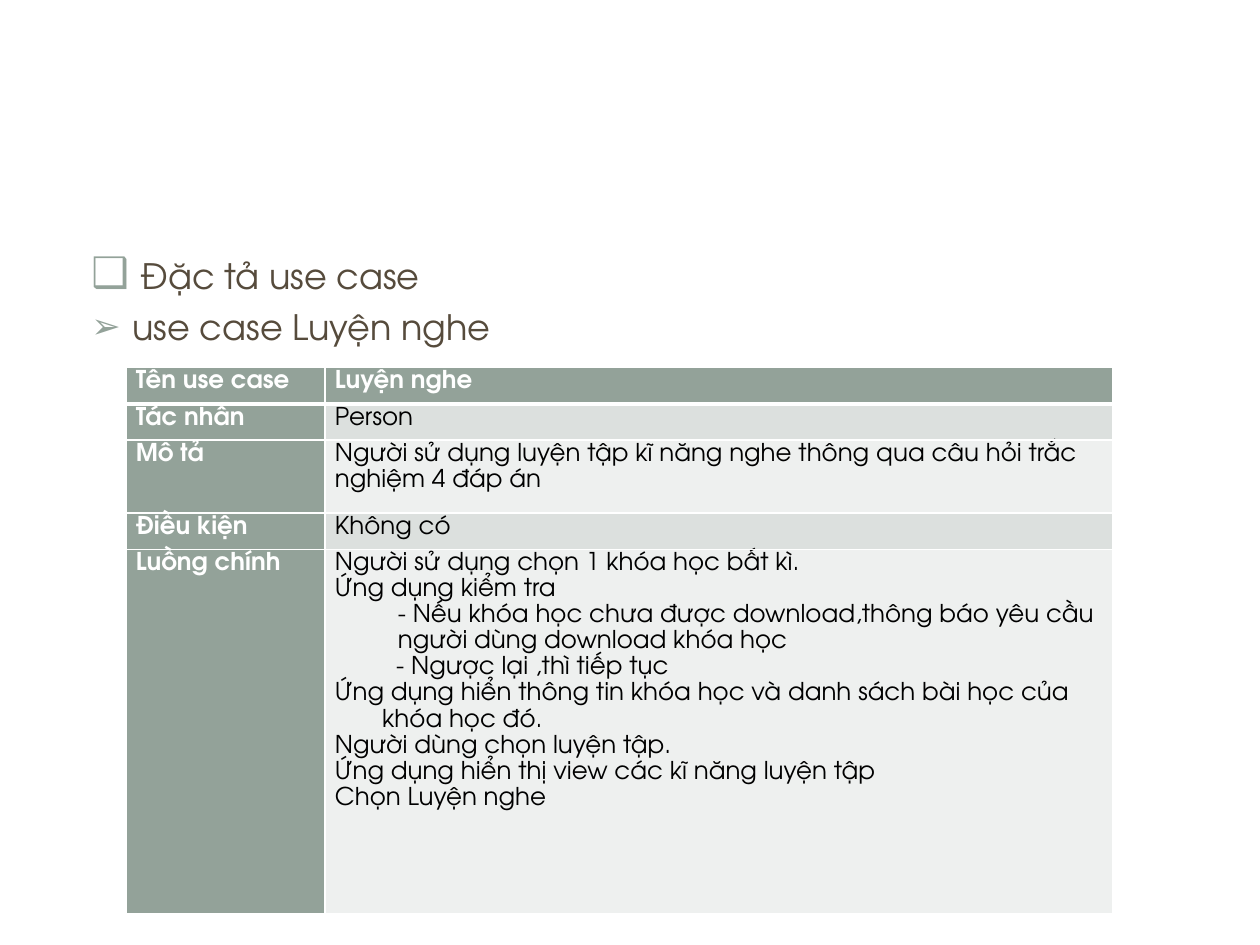
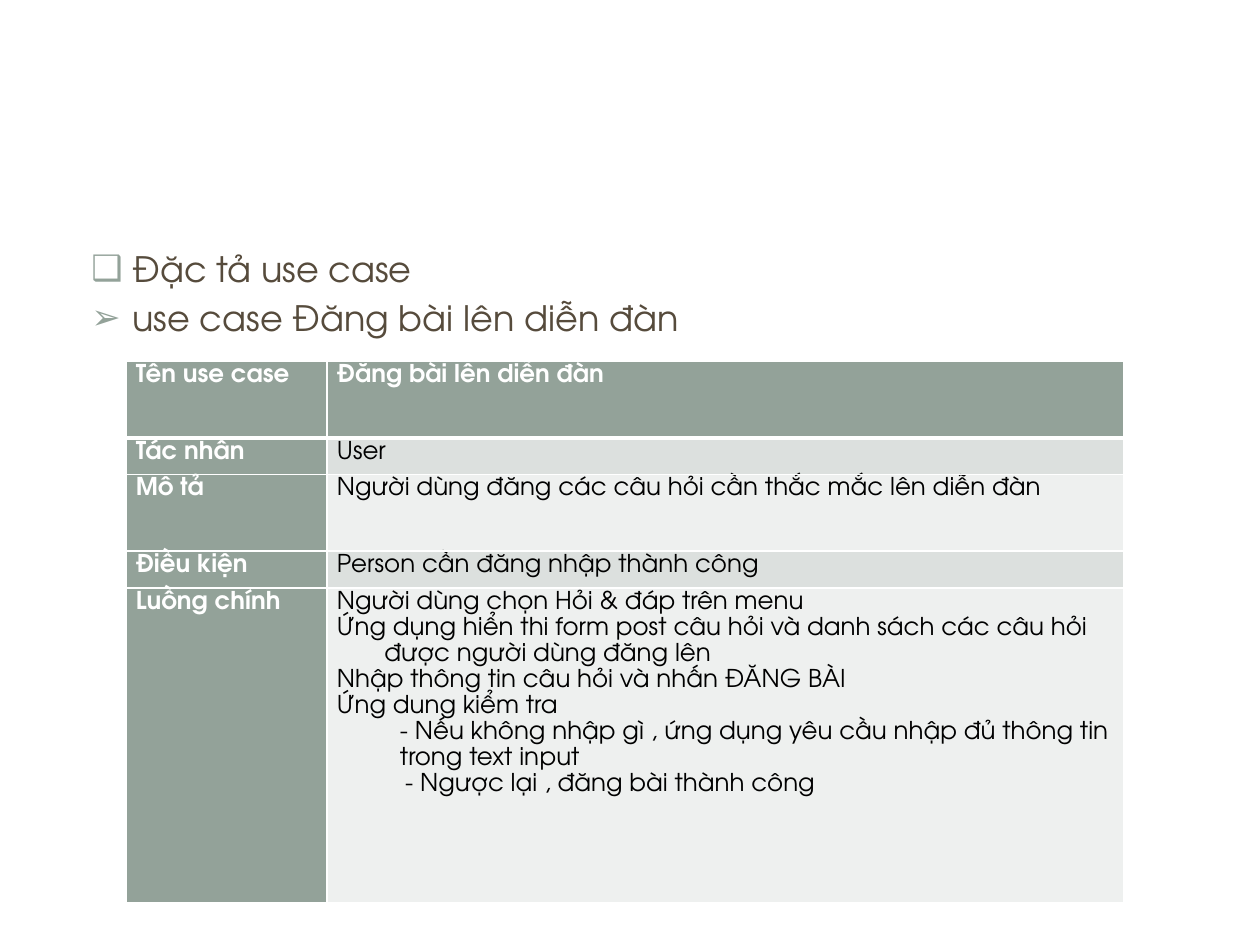
import pptx
import pptx.dml.color
import pptx.enum.shapes
import pptx.enum.text
import pptx.oxml
import pptx.oxml.ns
import pptx.util

Pt = pptx.util.Pt
SHAPE = pptx.enum.shapes.MSO_SHAPE
FONT = "TeX Gyre Adventor"
COLORS = {
    "heading": "564B3C",
    "accent": "93A299",
    "band_dark": "DCE0DE",
    "band_light": "EEF0EF",
    "white": "FFFFFF",
    "black": "000000",
}
BULLETS = ("❑", "➢")
LABELS = ("Tên use case", "Tác nhân", "Mô tả", "Điều kiện", "Luồng chính")
# Preset, box and opacity in percent of each panel behind the content
PANELS = [
    (SHAPE.ROUNDED_RECTANGLE, (7.2, 7.7, 705.6, 525), 100),
    (SHAPE.RECTANGLE, (21.6, 21.6, 676.8, 104.4), 83),
    (SHAPE.RECTANGLE, (29.4, 29.4, 660.4, 87.8), 100),
]

USE_CASES = [
    {
        "heading": "use case Luyện nghe",
        "lead_size": 24,
        "body_box": (36, 138, 648, 402),
        "table_origin": (72, 210),
        "columns": (113.8, 450.2),
        "rows": (20.8, 20.8, 41.6, 20.8, 208),
        "otherwise_indent": 35,
        "values": [
            ["Luyện nghe"],
            ["Person"],
            ["Người sử dụng luyện tập kĩ năng nghe thông qua câu hỏi trắc nghiệm 4 đáp án"],
            ["Không có"],
            [
                "Người sử dụng chọn 1 khóa học bất kì.",
                "Ứng dụng kiểm tra",
                "- Nếu khóa học chưa được download,thông báo yêu cầu người dùng download khóa học",
                "- Ngược lại ,thì tiếp tục",
                "Ứng dụng hiển thông tin khóa học và danh sách bài học của khóa học đó.",
                "Người dùng chọn luyện tập.",
                "Ứng dụng hiển thị view các kĩ năng luyện tập",
                "Chọn Luyện nghe",
            ],
        ],
    },
    {
        "heading": "use case Đăng bài lên diễn đàn",
        "lead_size": 20,
        "body_box": (36, 138, 648, 378),
        "table_origin": (72, 206.4),
        "columns": (115, 455),
        "rows": (43.8, 21, 43.8, 21, 180),
        "otherwise_indent": 39,
        "values": [
            ["Đăng bài lên diễn đàn"],
            ["User"],
            ["Người dùng đăng các câu hỏi cần thắc mắc lên diễn đàn"],
            ["Person cần đăng nhập thành công"],
            [
                "Người dùng chọn Hỏi & đáp trên menu",
                "Ứng dụng hiển thi form post câu hỏi và danh sách các câu hỏi được người dùng đăng lên",
                "Nhập thông tin câu hỏi và nhấn ĐĂNG BÀI",
                "Ứng dung kiểm tra",
                "- Nếu không nhập gì , ứng dụng yêu cầu nhập đủ thông tin trong text input",
                "- Ngược lại , đăng bài thành công",
            ],
        ],
    },
]


def rgb(name):
    return pptx.dml.color.RGBColor.from_string(COLORS[name])


def format_span(span, size, color, bold=False):
    span.font.name = FONT
    span.font.size = Pt(size)
    span.font.bold = bold
    span.font.color.rgb = rgb(color)


def set_indent(para, left, first_line):
    properties = para._p.get_or_add_pPr()
    properties.set("marL", str(Pt(left)))
    properties.set("indent", str(Pt(first_line)))
    return properties


def add_xml(parent, tag, **attributes):
    child = pptx.oxml.parse_xml(f"<a:{tag} {pptx.oxml.ns.nsdecls('a')}/>")
    for name, value in attributes.items():
        child.set(name, value)
    parent.append(child)
    return child


def move_panels_to_master(deck, page):
    """Build the shared panels on a page, then hand them to the slide master."""
    master_tree = deck.slide_master.shapes.element
    for index, (preset, box, opacity) in enumerate(PANELS):
        panel = page.shapes.add_shape(preset, *map(Pt, box))
        panel.shadow.inherit = False
        panel.fill.solid()
        panel.fill.fore_color.rgb = rgb("white")
        panel.line.fill.background()
        if preset == SHAPE.ROUNDED_RECTANGLE:
            panel.adjustments[0] = 0.017
        if opacity < 100:
            color = panel.element.spPr.find(".//" + pptx.oxml.ns.qn("a:srgbClr"))
            add_xml(color, "alpha", val=str(opacity * 1000))
        panel.element.nvSpPr.cNvPr.set("id", str(101 + index))
        master_tree.insert(2 + index, panel.element)


def set_bullet(para, character):
    properties = set_indent(para, 27, -18)
    add_xml(add_xml(properties, "buClr"), "srgbClr", val=COLORS["accent"])
    add_xml(properties, "buFont", typeface="Arial")
    add_xml(properties, "buChar", char=character)


def fill_headings(body, box, heading, lead_size):
    """Write the two bulleted headings; lead_size also sets the first bullet's size."""
    body.left, body.top, body.width, body.height = map(Pt, box)
    frame = body.text_frame
    frame.auto_size = pptx.enum.text.MSO_AUTO_SIZE.NONE
    frame.text = "\n".join(("Đặc tả use case", heading))
    for para, bullet, size in zip(frame.paragraphs, BULLETS, (lead_size, 20)):
        text = para.text
        para.text = " "
        para.add_run().text = text
        set_bullet(para, bullet)
        for span, span_size in zip(para.runs, (size, 20)):
            format_span(span, span_size, "heading")


def set_borders(cell, row):
    """Draw white cell borders, thicker under the header row."""
    widths = {"lnL": 1, "lnR": 1, "lnT": 3 if row == 1 else 1, "lnB": 3 if row == 0 else 1}
    properties = cell._tc.get_or_add_tcPr()
    for position, (side, width) in enumerate(widths.items()):
        line = add_xml(properties, side, w=str(Pt(width)))
        add_xml(add_xml(line, "solidFill"), "srgbClr", val=COLORS["white"])
        properties.insert(position, line)


def fill_cell(cell, row, lines, is_label, otherwise_indent):
    strong = is_label or row == 0
    band = "band_dark" if row % 2 else "band_light"
    cell.fill.solid()
    cell.fill.fore_color.rgb = rgb("accent" if strong else band)
    cell.margin_left = cell.margin_right = Pt(5.6)
    cell.margin_top = cell.margin_bottom = 0
    set_borders(cell, row)
    cell.text_frame.text = "\n".join(lines)
    for para in cell.text_frame.paragraphs:
        para.line_spacing = 1.15
        if len(lines) == 1:
            para.space_after = Pt(10)
        elif para.text.startswith("- Ngược lại"):
            set_indent(para, otherwise_indent, 0)
        elif para.text.startswith("-"):
            set_indent(para, 36, 0)
        else:
            set_indent(para, 27, -27)
        for span in para.runs:
            format_span(span, 14, "white" if strong else "black", strong)


def add_use_case_table(page, case):
    columns, rows = case["columns"], case["rows"]
    box = (*case["table_origin"], sum(columns), sum(rows))
    table = page.shapes.add_table(len(rows), len(columns), *map(Pt, box)).table
    for column, width in zip(table.columns, columns):
        column.width = Pt(width)
    for index, (height, label, lines) in enumerate(zip(rows, LABELS, case["values"])):
        table.rows[index].height = Pt(height)
        for column, content in enumerate(([label], lines)):
            cell = table.cell(index, column)
            fill_cell(cell, index, content, column == 0, case["otherwise_indent"])


def add_use_case_page(deck, case):
    page = deck.slides.add_slide(deck.slide_layouts[1])
    title = page.shapes.title
    title.element.getparent().remove(title.element)
    fill_headings(page.placeholders[1], case["body_box"], case["heading"], case["lead_size"])
    add_use_case_table(page, case)


def main():
    deck = pptx.Presentation()
    deck.slide_width, deck.slide_height = Pt(720), Pt(540)
    for case in USE_CASES:
        add_use_case_page(deck, case)
    move_panels_to_master(deck, deck.slides[0])
    deck.save("out.pptx")


if __name__ == "__main__":
    main()
